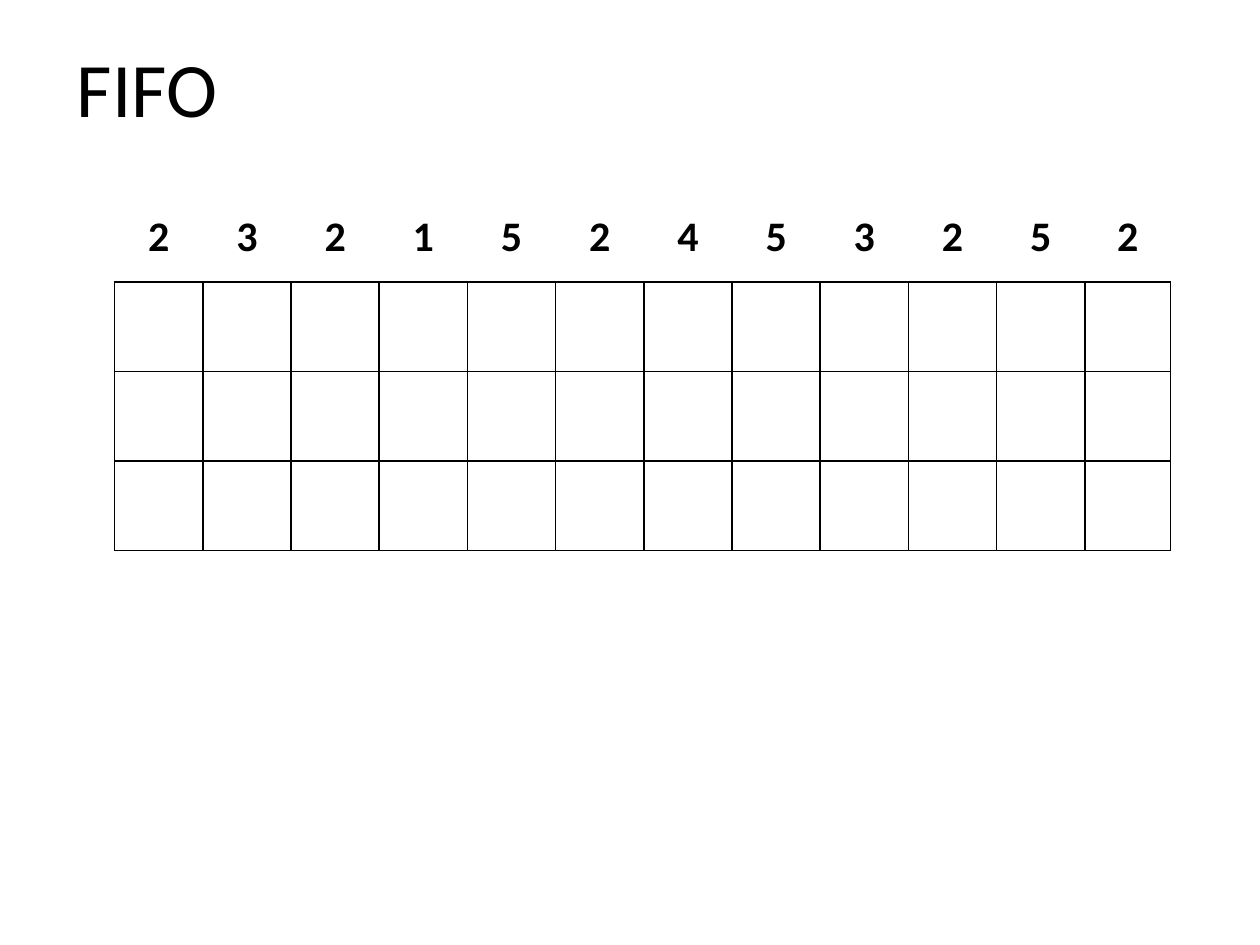
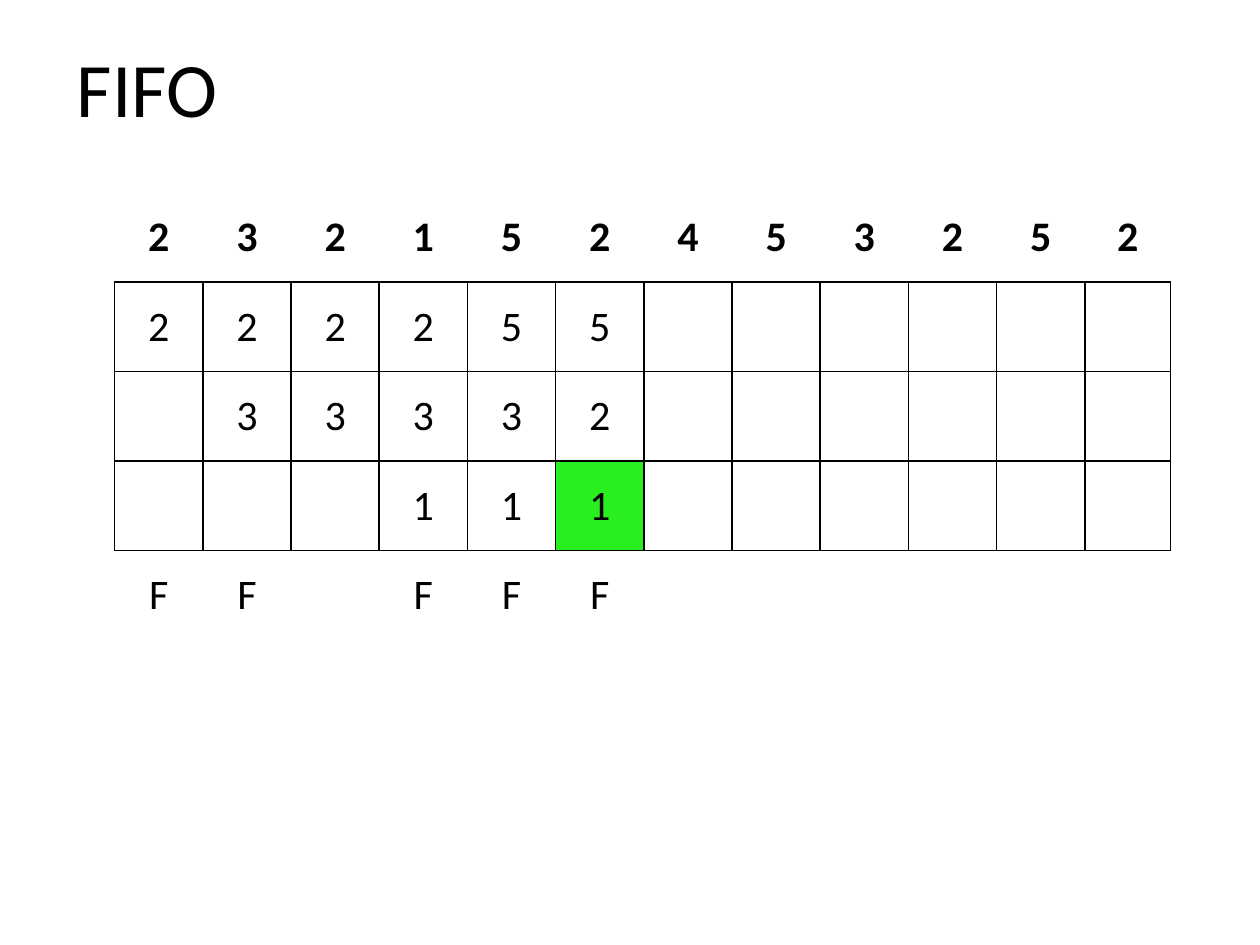
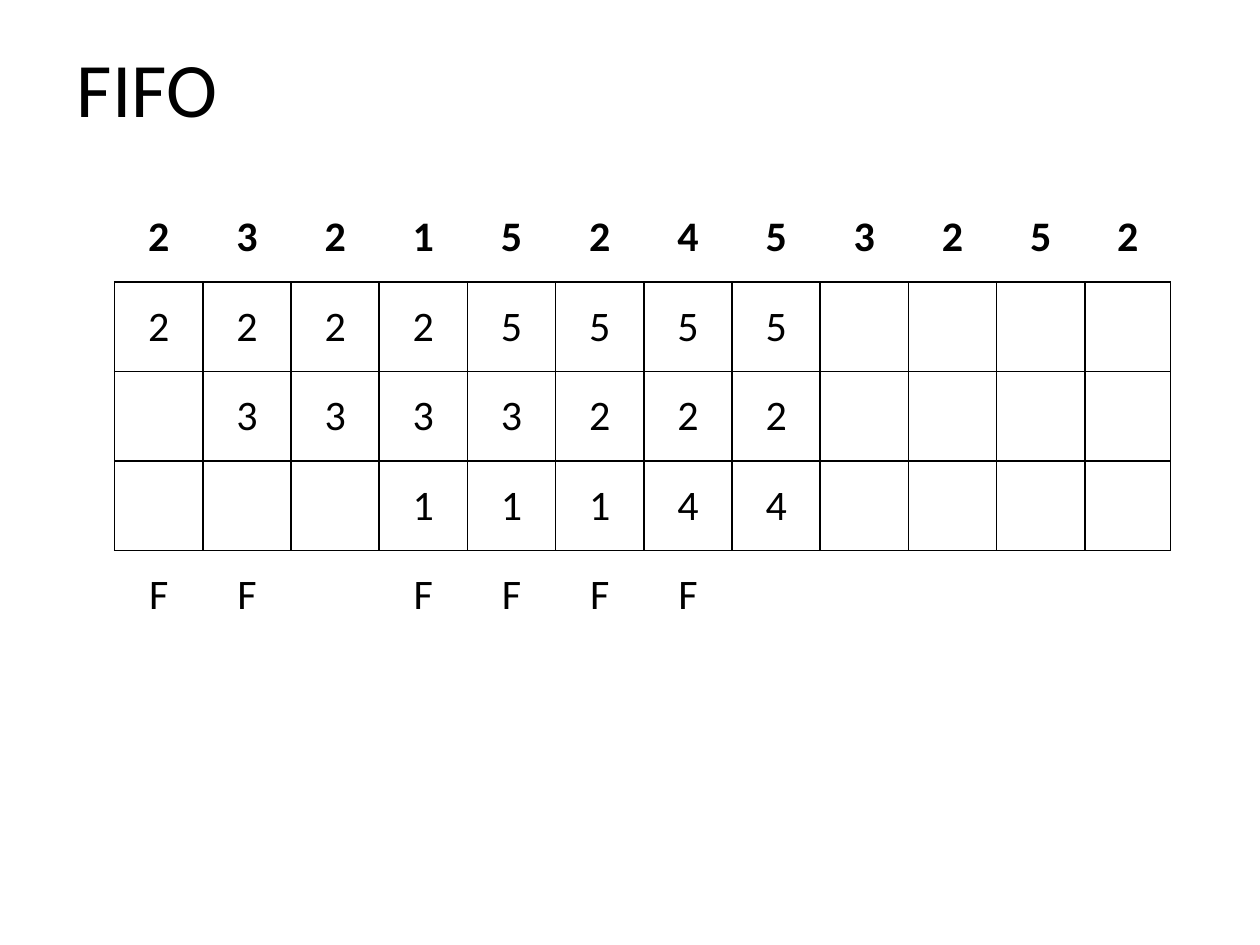
from lxml import etree
from pptx import Presentation, util as u
from pptx.dml.color import RGBColor
from pptx.enum import text
from pptx.oxml.ns import qn

INK, MARK, FONT = "000000", "29EF1F", "Calibri"
CELL, LAST = 0.71, 0.68  # row height and width of the last column
COL = 0.7
PLAIN = "{2D5ABB26-0587-4C30-8999-92F81FD0307C}"  # table style without a grid

# Page requests, and per slide: three frames, faults, marked cell
pages = "232152453252"
steps = [
    (["", "", ""], None, None),
    (["222255", " 33332", "   111"], "FF FFF", (3, 5)),
    (["22225555", " 3333222", "   11144"], "FF FFFF", None),
]


def write(frame, words, size, bold=False, align=text.PP_ALIGN.CENTER):
    para = frame.paragraphs[0]
    para.alignment = align
    run = para.add_run()
    run.text = words
    font = run.font
    font.name, font.size, font.bold = FONT, u.Pt(size), bold
    font.color.rgb = RGBColor.from_string(INK)


def edge(cell, sides):
    props = cell._tc.get_or_add_tcPr()
    for side in sides:
        line = etree.SubElement(props, qn("a:ln" + side), w=str(u.Pt(1)))
        fill = etree.SubElement(line, qn("a:solidFill"))
        etree.SubElement(fill, qn("a:srgbClr"), val=INK)


deck = Presentation()
deck.slide_width, deck.slide_height = u.Inches(10), u.Inches(7.5)

for frames, faults, mark in steps:
    slide = deck.slides.add_slide(deck.slide_layouts[5])

    # Title
    title = slide.shapes.title
    title.left, title.top = u.Inches(0.51), u.Inches(0.29)
    title.width, title.height = u.Inches(1.42), u.Inches(0.79)
    title.text_frame.vertical_anchor = text.MSO_ANCHOR.MIDDLE
    write(title.text_frame, "FIFO", 44, align=text.PP_ALIGN.LEFT)

    # Table: requests on top, frames in a grid, faults below
    rows = [pages] + frames + ([faults] if faults else [])
    count = len(pages)
    shape = slide.shapes.add_table(
        len(rows), count, u.Inches(0.91), u.Inches(1.53),
        u.Inches(COL * (count - 1) + LAST), u.Inches(CELL * len(rows)))
    table = shape.table
    table.first_row = table.horz_banding = False
    table._tbl.tblPr.find(qn("a:tableStyleId")).text = PLAIN
    for c, col in enumerate(table.columns):
        col.width = u.Inches(COL if c < count - 1 else LAST)

    for r, row in enumerate(rows):
        table.rows[r].height = u.Inches(CELL)
        for c, sign in enumerate(row.ljust(count)):
            cell = table.cell(r, c)
            cell.vertical_anchor = text.MSO_ANCHOR.MIDDLE
            edge(cell, "B" if r == 0 else "LRTB" if r <= len(frames) else "T")
            if (r, c) == mark:
                cell.fill.solid()
                cell.fill.fore_color.rgb = RGBColor.from_string(MARK)
            else:
                cell.fill.background()
            if sign != " ":
                write(cell.text_frame, sign, 24, bold=r == 0)

deck.save("out.pptx")
